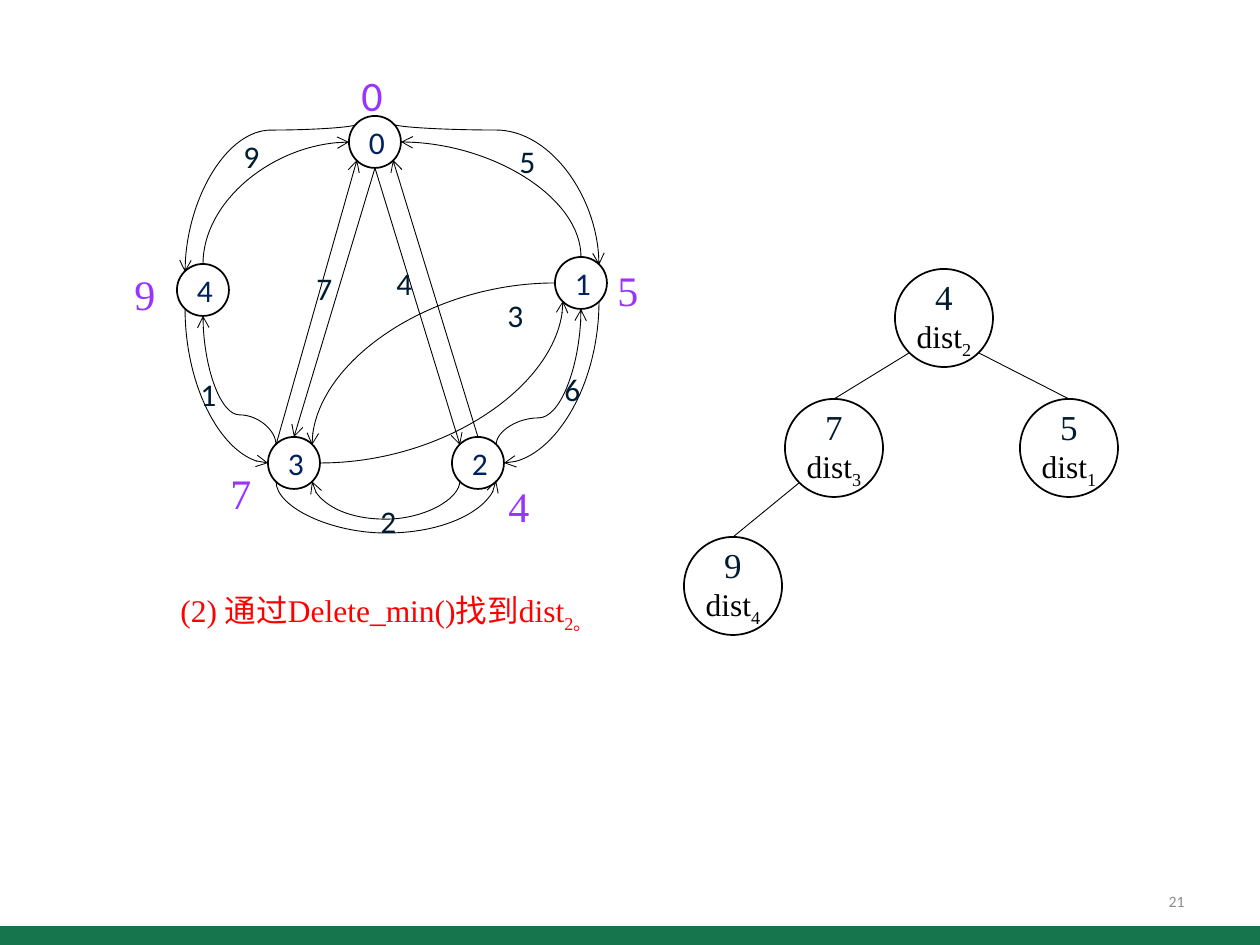
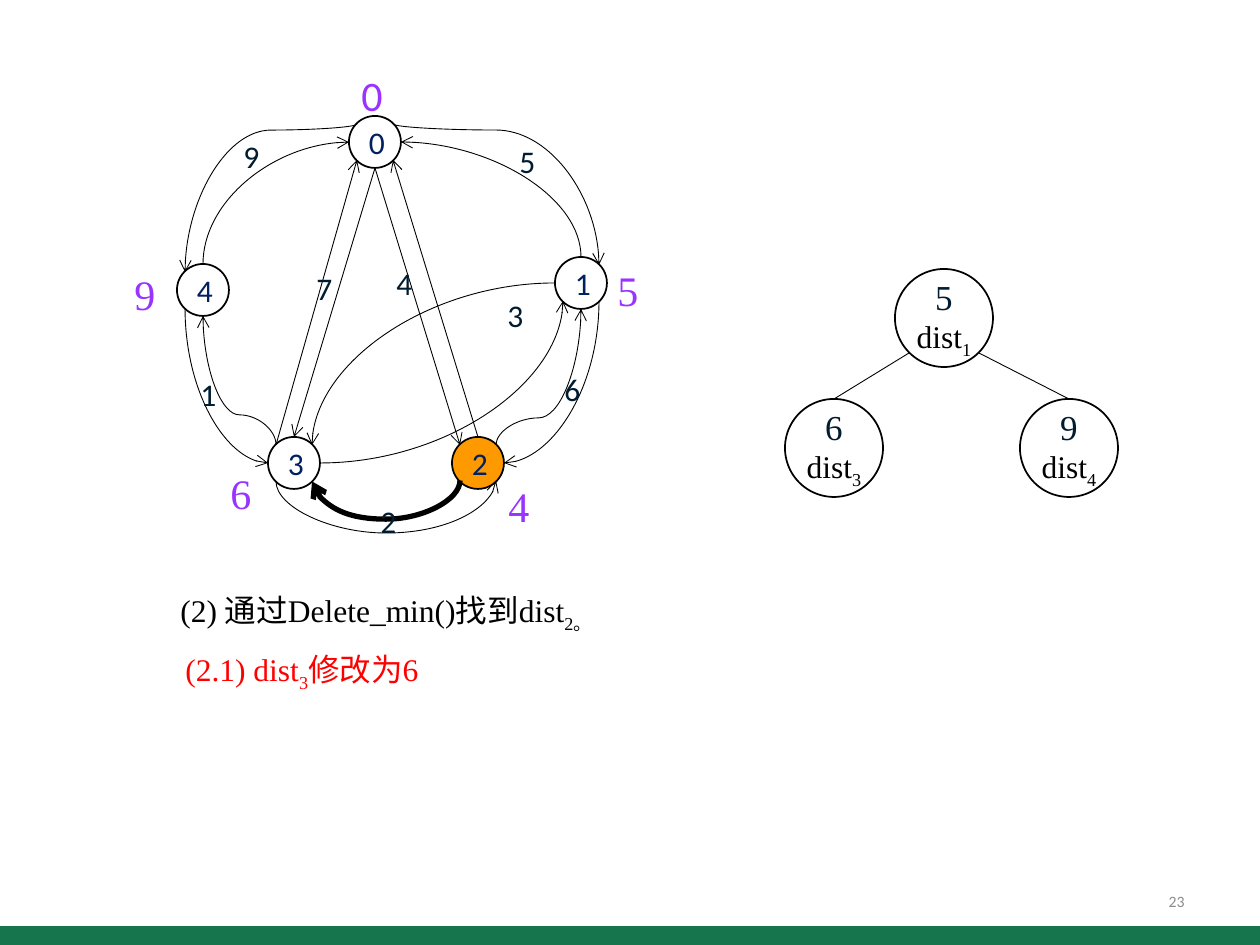
from typing import NamedTuple

from lxml.etree import SubElement
from pptx import Presentation
from pptx.dml.color import RGBColor
from pptx.enum.shapes import MSO_CONNECTOR, MSO_SHAPE
from pptx.enum.text import MSO_ANCHOR, MSO_AUTO_SIZE, PP_ALIGN
from pptx.oxml.ns import qn
from pptx.util import Emu, Pt

SCALE = 914400 / 126
SANS, SERIF = "Calibri", "Times New Roman"
BLACK = RGBColor(0x00, 0x00, 0x00)
GREEN = RGBColor(0x16, 0x75, 0x4D)
GREY = RGBColor(0x8C, 0x8C, 0x8C)
NAVY = RGBColor(0x00, 0x20, 0x60)
INK = RGBColor(0x00, 0x1C, 0x30)
RED = RGBColor(0xFF, 0x00, 0x00)
PURPLE = RGBColor(0x99, 0x33, 0xFF)
ORANGE = RGBColor(0xFF, 0x99, 0x00)


class Node(NamedTuple):
    x: int
    y: int
    r: int


class Edge(NamedTuple):
    """Start and end are a node and a compass side; bend is the y of a middle run."""
    start: tuple
    end: tuple
    arrow: str
    curved: bool = True
    bend: int | None = None


class Run(NamedTuple):
    text: str
    size: int
    font: str
    color: RGBColor
    sub: bool = False


class Label(NamedTuple):
    x: int
    y: int
    text: str
    font: str = SERIF


class Step(NamedTuple):
    number: int
    heap: list
    dist3: str
    lines: list
    active: int | None = None


GRAPH = {0: Node(375, 142, 26), 4: Node(203, 290, 26), 3: Node(294, 463, 26),
         2: Node(478, 463, 26), 1: Node(581, 283, 26)}
SIDES = {"N": (0, -1), "S": (0, 1), "W": (-1, 0), "E": (1, 0)}
CHOSEN = Edge((2, "SW"), (3, "SE"), "tail", bend=520)
EDGES = [
    Edge((0, "NW"), (4, "NW"), "tail", bend=130),
    Edge((3, "W"), (4, "SW"), "head"),
    Edge((1, "NE"), (0, "NE"), "head", bend=130),
    Edge((2, "SE"), (3, "SW"), "head", bend=534),
    Edge((1, "SE"), (2, "E"), "tail"),
    Edge((2, "NW"), (0, "S"), "head", curved=False),
    Edge((3, "N"), (0, "S"), "head", curved=False),
    Edge((1, "W"), (3, "NE"), "tail"),
    CHOSEN,
    Edge((1, "SW"), (3, "E"), "head"),
    Edge((3, "NW"), (4, "S"), "tail", bend=415),
    Edge((1, "S"), (2, "NE"), "head", bend=418),
    Edge((0, "W"), (4, "N"), "head"),
    Edge((1, "N"), (0, "E"), "tail"),
    Edge((3, "NW"), (0, "SW"), "tail", curved=False),
    Edge((2, "N"), (0, "SE"), "tail", curved=False),
]
WEIGHTS = [Label(231, 131, "9"), Label(507, 136, "5"), Label(384, 258, "4"),
           Label(304, 263, "7"), Label(188, 369, "1"), Label(368, 496, "2"),
           Label(495, 290, "3"), Label(552, 364, "6")]
DISTS = [Label(349, 63, "0", SANS), Label(605, 258, "5"),
         Label(496, 474, "4"), Label(122, 262, "9")]
HEAP = [Node(944, 318, 49), Node(834, 448, 49), Node(1069, 448, 49), Node(733, 586, 49)]
HEAP_EDGES = [Edge((1, "N"), (0, "SW"), "", False),
              Edge((2, "N"), (0, "SE"), "", False),
              Edge((3, "N"), (1, "SW"), "", False)]


def px(value: float) -> Emu:
    return Emu(round(value * SCALE))


def site(node: Node, side: str) -> tuple[int, int]:
    """Point on the circle at a compass side."""
    reach = node.r / len(side) ** 0.5
    return (node.x + round(reach * sum(SIDES[c][0] for c in side)),
            node.y + round(reach * sum(SIDES[c][1] for c in side)))


def write(para, runs: list[Run]) -> None:
    for item in runs:
        if item.text == "\n":
            para.add_line_break()
            continue
        run = para.add_run()
        run.text = item.text
        run.font.size, run.font.name = Pt(item.size), item.font
        run.font.color.rgb = item.color
        if item.sub:
            run._r.get_or_add_rPr().set("baseline", "-25000")


def text(slide, box: tuple, runs: list[Run], wrap: bool = False):
    frame = slide.shapes.add_textbox(*map(px, box)).text_frame
    frame.word_wrap = wrap
    frame.auto_size = MSO_AUTO_SIZE.SHAPE_TO_FIT_TEXT
    write(frame.paragraphs[0], runs)
    return frame


def circle(slide, node: Node, runs: list[Run], fill: RGBColor | None = None):
    shape = slide.shapes.add_shape(MSO_SHAPE.OVAL, px(node.x - node.r), px(node.y - node.r),
                                   px(2 * node.r), px(2 * node.r))
    shape.shadow.inherit = False
    if fill is None:
        shape.fill.background()
    else:
        shape.fill.solid()
        shape.fill.fore_color.rgb = fill
    shape.line.color.rgb, shape.line.width = BLACK, Pt(1)
    frame = shape.text_frame
    frame.vertical_anchor = MSO_ANCHOR.MIDDLE
    frame.paragraphs[0].alignment = PP_ALIGN.CENTER
    write(frame.paragraphs[0], runs)
    return frame


def curve(slide, edge: Edge, start: tuple, end: tuple):
    """Curve leaving E or W sides level and all other sides upright."""
    (x1, y1), (x2, y2) = start, end
    dx, dy = x2 - x1, y2 - y1
    level = edge.start[1] in "EW"
    along, cross = (dx, dy) if level else (dy or 1, -dx)
    wide, high = abs(along), abs(cross)
    left, top = (x1 + x2 - wide) / 2, (y1 + y2 - high) / 2
    line = slide.shapes.add_connector(MSO_CONNECTOR.CURVE, px(left), px(top),
                                      px(left + wide), px(top + high))
    frame = line.element.spPr.find(qn("a:xfrm"))
    turn = (0 if level else 90) + (180 if along < 0 else 0)
    frame.set("rot", str(turn * 60000))
    if (along < 0) != (cross < 0):
        frame.set("flipV", "1")
    shape = line.element.spPr.find(qn("a:prstGeom"))
    if edge.bend is None:
        shape.set("prst", "curvedConnector2")
    else:
        ratio = round((edge.bend - y1) / along * 100000)
        SubElement(shape.find(qn("a:avLst")), qn("a:gd"), name="adj1", fmla=f"val {ratio}")
    return line


def link(slide, nodes, edge: Edge, width: float = 0.5) -> None:
    start, end = (site(nodes[key], side) for key, side in (edge.start, edge.end))
    if edge.curved:
        line = curve(slide, edge, start, end)
    else:
        line = slide.shapes.add_connector(MSO_CONNECTOR.STRAIGHT, *map(px, start + end))
    line.line.color.rgb, line.line.width = BLACK, Pt(width)
    props = line.element.spPr
    if edge.arrow:
        SubElement(props.find(qn("a:ln")), qn(f"a:{edge.arrow}End"), type="arrow")
    SubElement(props, qn("a:effectLst"))


def graph(slide, step: Step) -> None:
    for key, node in GRAPH.items():
        circle(slide, node, [Run(str(key), 18, SANS, NAVY)],
               ORANGE if key == step.active else None)
    for edge in EDGES:
        bold = edge is CHOSEN and step.active is not None
        link(slide, GRAPH, edge, 3 if bold else 0.5)
    for mark in WEIGHTS:
        text(slide, (mark.x, mark.y, 43, 50), [Run(mark.text, 18, SANS, INK)])
    for mark in DISTS + [Label(218, 461, step.dist3)]:
        text(slide, (mark.x, mark.y, 47, 63), [Run(mark.text, 24, mark.font, PURPLE)])


def heap(slide, items: list) -> None:
    for edge in HEAP_EDGES[:len(items) - 1]:
        link(slide, HEAP, edge)
    for node, (value, index) in zip(HEAP, items):
        frame = circle(slide, node, [Run(value, 20, SERIF, INK), Run("\n", 20, SERIF, INK),
                                     Run("dist", 18, SERIF, BLACK),
                                     Run(index, 18, SERIF, BLACK, True)])
        frame.margin_left = frame.margin_right = frame.margin_top = frame.margin_bottom = 0


def band(deck, slide) -> None:
    """Green foot band, moved to the master so that every slide shows it."""
    bar = slide.shapes.add_shape(MSO_SHAPE.RECTANGLE, 0, px(926), px(1260), px(19))
    bar.shadow.inherit = False
    bar.fill.solid()
    bar.fill.fore_color.rgb = GREEN
    bar.line.fill.background()
    bar.element.nvSpPr.cNvPr.set("id", "99")
    deck.slide_master.shapes.element.insert(2, bar.element)


def found(color: RGBColor) -> list[Run]:
    return [Run("(2) 通过Delete_min()找到dist", 18, SERIF, color),
            Run("2。", 18, SERIF, color, True)]


STEPS = [
    Step(21, [("4", "2"), ("7", "3"), ("5", "1"), ("9", "4")], "7", [found(RED)]),
    Step(23, [("5", "1"), ("6", "3"), ("9", "4")], "6",
         [found(BLACK), [Run("(2.1) dist", 18, SERIF, RED), Run("3", 18, SERIF, RED, True),
                         Run("修改为6", 18, SERIF, RED)]], active=2),
]
LINES = [(168, 585, 501, 50), (173, 644, 364, 50)]


def main() -> None:
    deck = Presentation()
    deck.slide_width, deck.slide_height = px(1260), px(945)
    for step in STEPS:
        slide = deck.slides.add_slide(deck.slide_layouts[6])
        if step is STEPS[0]:
            band(deck, slide)
        page = text(slide, (903, 876, 294, 50), [Run(str(step.number), 9, SANS, GREY)], True)
        page.auto_size = MSO_AUTO_SIZE.NONE
        page.vertical_anchor = MSO_ANCHOR.MIDDLE
        page.paragraphs[0].alignment = PP_ALIGN.RIGHT
        graph(slide, step)
        heap(slide, step.heap)
        for box, runs in zip(LINES, step.lines):
            text(slide, box, runs, True)
    deck.save("out.pptx")


if __name__ == "__main__":
    main()
